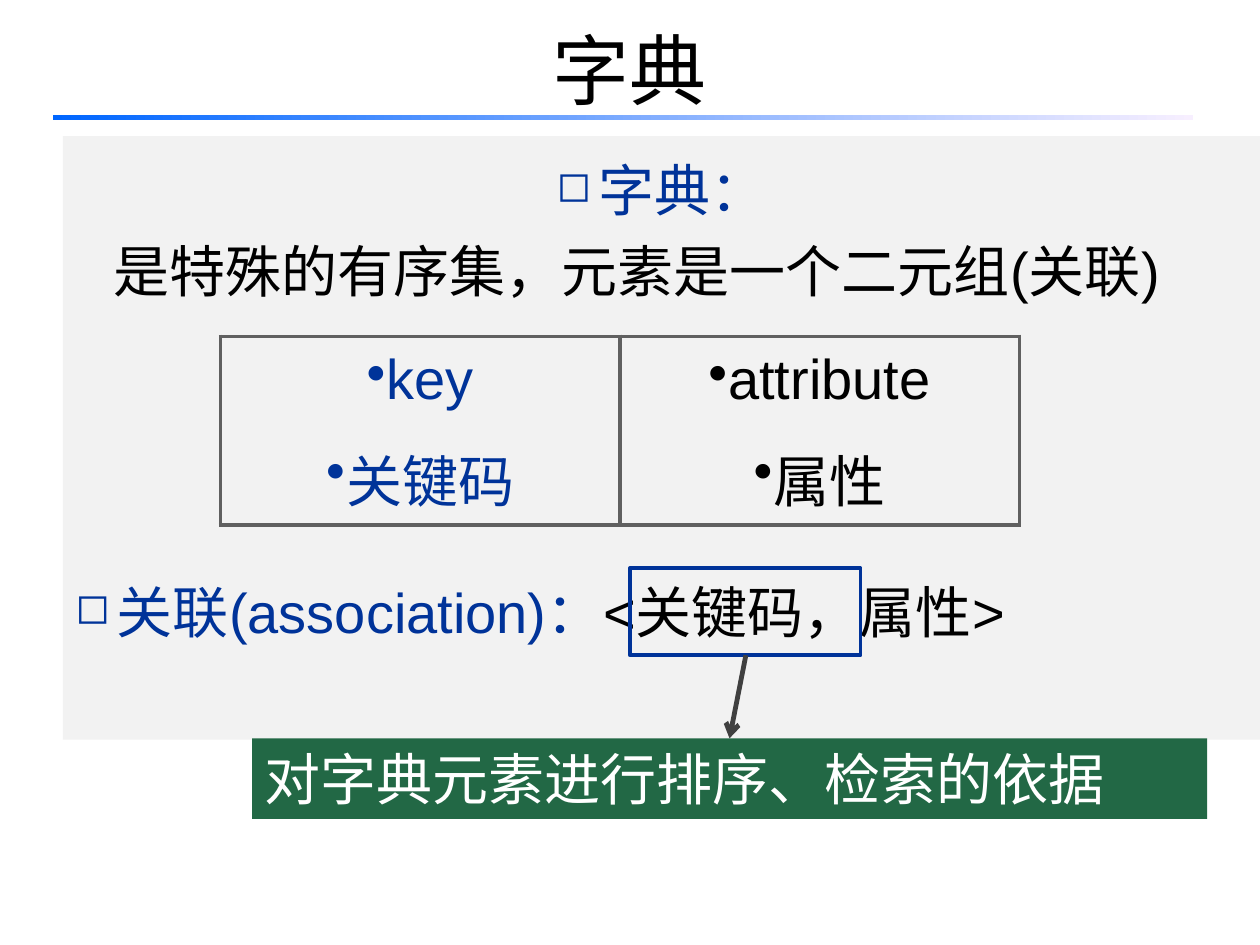
from lxml.etree import SubElement
from pptx import Presentation
from pptx.dml.color import RGBColor
from pptx.enum.shapes import MSO_CONNECTOR as Connector, MSO_SHAPE as Shape
from pptx.enum.text import MSO_ANCHOR as Anchor, PP_ALIGN as Align
from pptx.oxml.ns import qn
from pptx.util import Inches, Pt

BLUE, BLACK, WHITE = "003399", "000000", "FFFFFF"
PANEL, GREEN, BORDER, ARROW = "F2F2F2", "226845", "606060", "404040"


def color(value):
    return RGBColor.from_string(value)


def box(*lengths):
    return [Inches(length) for length in lengths]


class SlideBuilder:
    def __init__(self, slide, font="Arial", size=32):
        self.slide = slide
        self.font = font
        self.size = size

    def title(self, text, place, font, size):
        shape = self.slide.shapes.title
        shape.left, shape.top, shape.width, shape.height = box(*place)
        shape.text_frame.vertical_anchor = Anchor.MIDDLE
        paragraph = shape.text_frame.paragraphs[0]
        paragraph.alignment = Align.CENTER
        self.run(paragraph, text, BLACK, font, size)

    def run(self, paragraph, text, text_color, font=None, size=None):
        run = paragraph.add_run()
        run.text = text
        run.font.name = font or self.font
        run.font.size = Pt(size or self.size)
        run.font.color.rgb = color(text_color)

    def paragraphs(self, frame, items):
        """Each item: runs, paragraph format values, and optional bullet settings."""
        for index, (runs, values, bullet) in enumerate(items):
            paragraph = frame.paragraphs[0] if index == 0 else frame.add_paragraph()
            self.bullet(paragraph, **bullet)
            for name, value in values.items():
                setattr(paragraph, name, value)
            for text, text_color in runs:
                self.run(paragraph, text, text_color)

    def bullet(self, paragraph, char=None, percent=100, margin=0, indent=0):
        properties = paragraph._p.get_or_add_pPr()
        properties.set("marL", str(Inches(margin)))
        properties.set("indent", str(Inches(indent)))
        if char:
            SubElement(properties, qn("a:buSzPct"), val=str(percent * 1000))
            SubElement(properties, qn("a:buChar"), char=char)
        else:
            SubElement(properties, qn("a:buNone"))

    def rectangle(self, place, fill=None, line=None, gradient=None, items=()):
        shape = self.slide.shapes.add_shape(Shape.RECTANGLE, *box(*place))
        shape.shadow.inherit = False
        if gradient:
            shape.fill.gradient()
            shape.fill.gradient_angle = 0
            for stop, value in zip(shape.fill.gradient_stops, gradient):
                stop.color.rgb = color(value)
        elif fill:
            shape.fill.solid()
            shape.fill.fore_color.rgb = color(fill)
        else:
            shape.fill.background()
        if line:
            shape.line.color.rgb = color(line)
            shape.line.width = Pt(2.25)
        else:
            shape.line.fill.background()
        if items:
            shape.text_frame.word_wrap = True
            shape.text_frame.vertical_anchor = Anchor.TOP
            self.paragraphs(shape.text_frame, items)

    def one_cell_table(self, place, items):
        table = self.slide.shapes.add_table(1, 1, *box(*place)).table
        table.first_row = table.horz_banding = False
        cell = table.cell(0, 0)
        cell.fill.background()
        properties = cell._tc.get_or_add_tcPr()
        for index, side in enumerate(("lnL", "lnR", "lnT", "lnB")):
            border = SubElement(properties, qn(f"a:{side}"), w=str(Pt(2.25)))
            fill = SubElement(border, qn("a:solidFill"))
            SubElement(fill, qn("a:srgbClr"), val=BORDER)
            properties.insert(index, border)
        self.paragraphs(cell.text_frame, items)

    def arrow(self, start, end):
        connector = self.slide.shapes.add_connector(
            Connector.STRAIGHT, *box(*start, *end))
        connector.line.color.rgb = color(ARROW)
        connector.line.width = Pt(2.75)
        SubElement(connector.line._get_or_add_ln(), qn("a:tailEnd"), type="arrow")
        SubElement(connector._element.spPr, qn("a:effectLst"))


def main():
    presentation = Presentation()
    presentation.slide_width, presentation.slide_height = box(10, 7.5)
    slide = presentation.slides.add_slide(presentation.slide_layouts[5])
    builder = SlideBuilder(slide)

    builder.title("字典", (0.5, -0.08, 9, 1.25), "Noto Sans CJK SC", 44)
    builder.rectangle((0.42, 0.91, 9.05, 0.04), gradient=("0066FF", "F7EFFF"))

    square = {"char": "◻", "percent": 75, "margin": 0.33, "indent": -0.33}
    spacing = {"line_spacing": 1.2}
    builder.rectangle((0.5, 1.08, 9.5, 4.79), fill=PANEL, items=[
        ([("字典：", BLUE)], spacing, square),
        ([("是特殊的有序集，元素是一个二元组(关联)", BLACK)], spacing, {"margin": 0.3}),
        ([("关联(association)：", BLUE), ("<关键码，属性>", BLACK)],
         {**spacing, "space_before": Pt(149)}, square),
    ])

    cell_width = 3.17
    centered = {"alignment": Align.CENTER, "line_spacing": 1.1}
    columns = [(("key", "关键码"), BLUE), (("attribute", "属性"), BLACK)]
    for column, (lines, text_color) in enumerate(columns):
        items = [([(text, text_color)],
                  {**centered, "space_before": Pt(10 * row)}, {"char": "•"})
                 for row, text in enumerate(lines)]
        left = 1.75 + column * cell_width
        builder.one_cell_table((left, 2.67, cell_width, 1.25), items)

    builder.rectangle((5, 4.51, 1.83, 0.69), line=BLUE)
    builder.arrow((5.92, 5.2), (5.79, 5.86))
    builder.rectangle((2, 5.86, 7.58, 0.64), fill=GREEN, items=[
        ([("对字典元素进行排序、检索的依据", WHITE)], {"alignment": Align.LEFT}, {})])

    presentation.save("out.pptx")


if __name__ == "__main__":
    main()
